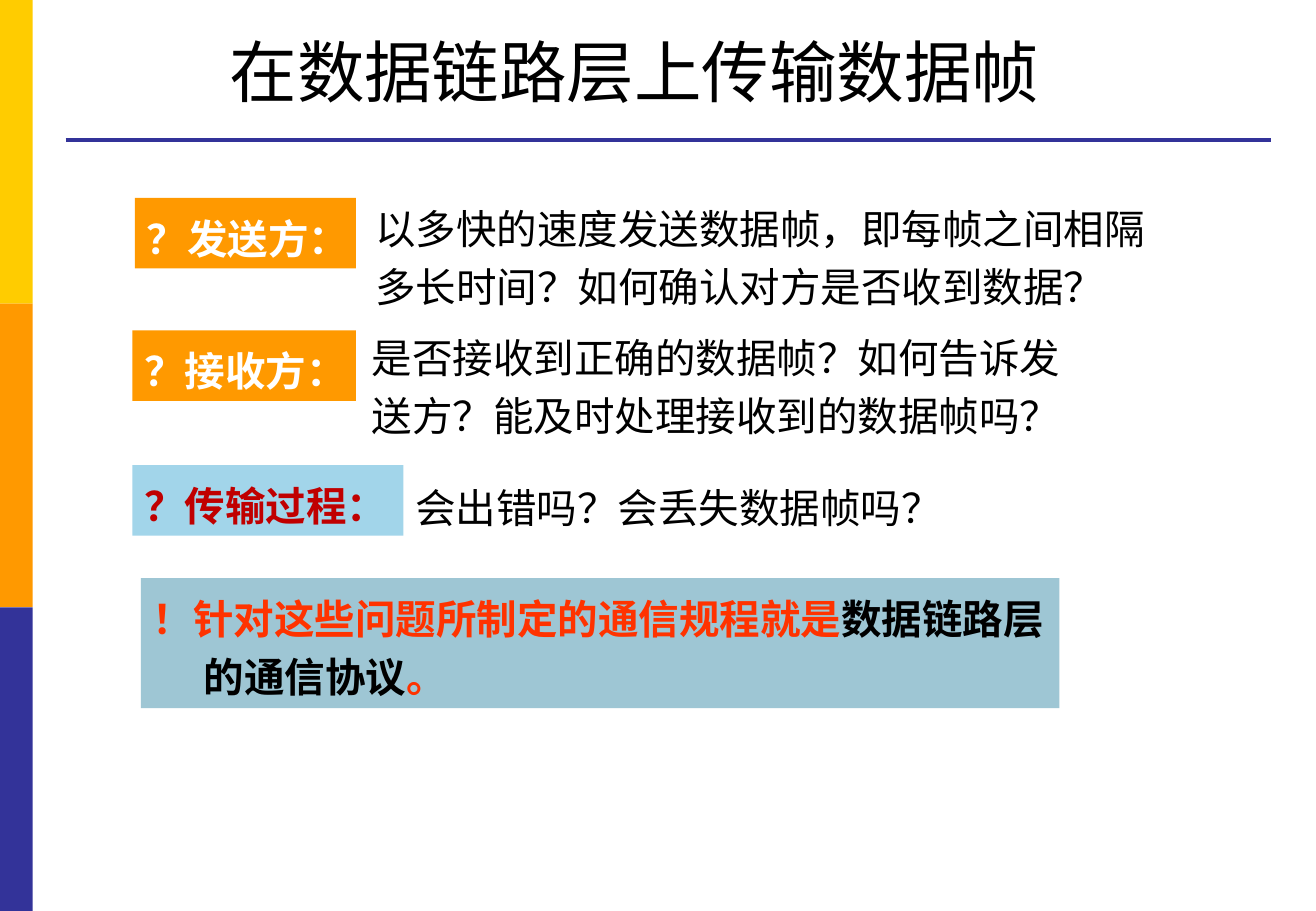
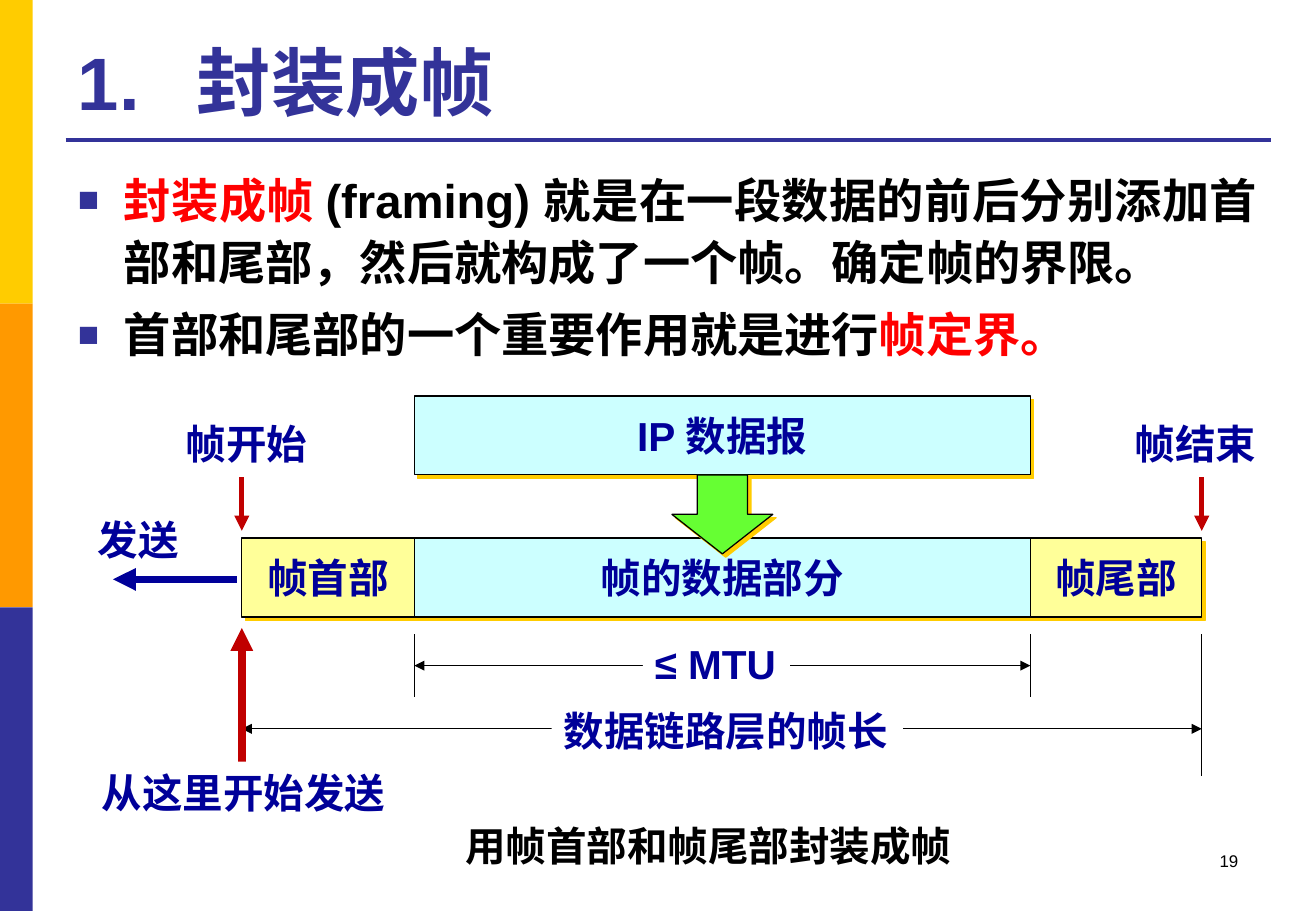
from dataclasses import dataclass
from typing import Optional

from lxml import etree
from pptx import Presentation
from pptx.dml.color import RGBColor
from pptx.enum.shapes import MSO_CONNECTOR, MSO_SHAPE
from pptx.enum.text import MSO_ANCHOR, MSO_AUTO_SIZE, PP_ALIGN
from pptx.oxml.ns import qn
from pptx.util import Inches, Pt

RECTANGLE = MSO_SHAPE.RECTANGLE
DOWN_ARROW = MSO_SHAPE.DOWN_ARROW
STRAIGHT = MSO_CONNECTOR.STRAIGHT
LEFT, CENTER = PP_ALIGN.LEFT, PP_ALIGN.CENTER
RIGHT, JUSTIFY = PP_ALIGN.RIGHT, PP_ALIGN.JUSTIFY
TOP, MIDDLE, BOTTOM = MSO_ANCHOR.TOP, MSO_ANCHOR.MIDDLE, MSO_ANCHOR.BOTTOM
NO_FIT, GROW = MSO_AUTO_SIZE.NONE, MSO_AUTO_SIZE.SHAPE_TO_FIT_TEXT

SANS, SERIF = "Arial", "Times New Roman"
BLACK, WHITE = "000000", "FFFFFF"
YELLOW, ORANGE, INDIGO = "FFCC00", "FF9900", "333399"
NAVY, CRIMSON, RED, VERMILION = "000099", "C00000", "FF0000", "FF3300"
SKY, STEEL = "A2D5EA", "9EC6D4"
CREAM, AQUA, GREEN = "FFFF99", "CCFFFF", "66FF33"

TITLE_ONLY, TITLE_AND_CONTENT = 5, 1
Runs = list[tuple[str, str]]


@dataclass(frozen=True)
class Box:
    left: float
    top: float
    width: float
    height: float


@dataclass(frozen=True)
class TextStyle:
    size: float = 24
    font: str = SANS
    bold: bool = True
    align: PP_ALIGN = LEFT
    anchor: MSO_ANCHOR = TOP
    fit: MSO_AUTO_SIZE = GROW
    wrap: bool = True
    spacing: float = 1.0
    hanging: float = 0


@dataclass(frozen=True)
class Question:
    label: str
    label_box: Box
    fill: str
    color: str
    answer: str
    answer_box: Box
    hanging: float = 0


@dataclass(frozen=True)
class Label:
    text: str
    box: Box
    style: TextStyle
    fill: Optional[str] = WHITE
    color: str = NAVY


@dataclass(frozen=True)
class Line:
    start: tuple[float, float]
    end: tuple[float, float]
    color: str = BLACK
    width: float = 0.75
    head: bool = False
    tail: bool = False


QUESTION_LABEL = TextStyle(font=SERIF, spacing=1.2, hanging=0.42)
FRAME_TEXT = TextStyle(align=CENTER, anchor=MIDDLE, fit=NO_FIT, wrap=False)
TIGHT = TextStyle(wrap=False)
CENTERED = TextStyle(align=CENTER)
BODY = TextStyle(size=28, align=JUSTIFY, fit=NO_FIT, spacing=1.1, hanging=0.38)

QUESTIONS = [
    Question("？发送方：", Box(1.11, 1.63, 1.82, 0.58), ORANGE, WHITE,
             "以多快的速度发送数据帧，即每帧之间相隔多长时间？如何确认对方是否收到数据？",
             Box(2.99, 1.55, 6.63, 1.07)),
    Question("？接收方：", Box(1.09, 2.72, 1.84, 0.58), ORANGE, WHITE,
             "是否接收到正确的数据帧？如何告诉发送方？能及时处理接收到的数据帧吗？",
             Box(2.96, 2.61, 5.92, 1.07)),
    Question("？传输过程：", Box(1.09, 3.83, 2.23, 0.58), SKY, CRIMSON,
             "会出错吗？会丢失数据帧吗？", Box(3.32, 3.85, 4.88, 0.58), 0.42),
]

FRAME_START, DATA_START, DATA_END, FRAME_END = 1.99, 3.41, 8.48, 9.89
PACKET_TOP, FRAME_TOP, FRAME_HEIGHT = 3.26, 4.43, 0.65
MTU_Y, LENGTH_Y, TICK_TOP = 5.48, 6.0, 5.22

FRAME_PARTS = [
    ("帧首部", FRAME_START, DATA_START, FRAME_TOP, CREAM),
    ("IP 数据报", DATA_START, DATA_END, PACKET_TOP, AQUA),
    ("帧的数据部分", DATA_START, DATA_END, FRAME_TOP, AQUA),
    ("帧尾部", DATA_END, FRAME_END, FRAME_TOP, CREAM),
]

FRAME_LINES = [
    Line((DATA_START, MTU_Y), (DATA_END, MTU_Y), head=True, tail=True),
    Line((FRAME_START, LENGTH_Y), (FRAME_END, LENGTH_Y), head=True, tail=True),
    Line((FRAME_START, 5.17), (FRAME_START, 6.34), CRIMSON, 4.5, head=True),
    Line((FRAME_END, TICK_TOP), (FRAME_END, 6.39)),
    Line((DATA_START, TICK_TOP), (DATA_START, 5.74)),
    Line((DATA_END, TICK_TOP), (DATA_END, 5.74)),
    Line((FRAME_START, 4.37), (FRAME_START, 3.93), CRIMSON, 3, head=True),
    Line((FRAME_END, 4.37), (FRAME_END, 3.93), CRIMSON, 3, head=True),
    Line((0.93, 4.77), (1.95, 4.77), NAVY, 4.5, head=True),
]

FRAME_LABELS = [
    Label("帧开始", Box(1.43, 3.4, 1.21, 0.5), TIGHT),
    Label("帧结束", Box(9.24, 3.4, 1.21, 0.5), TIGHT),
    Label("≤ MTU", Box(5.29, 5.21, 1.21, 0.5), TIGHT),
    Label("数据链路层的帧长", Box(4.54, 5.76, 2.89, 0.5), TIGHT),
    Label("从这里开始发送", Box(0.59, 6.27, 2.83, 0.5), CENTERED),
    Label("发送", Box(0.61, 4.19, 1.06, 0.5), CENTERED, None),
    Label("用帧首部和帧尾部封装成帧", Box(2.7, 6.71, 6.26, 0.5), CENTERED, None, BLACK),
    Label("19", Box(7.76, 6.95, 2.53, 0.5),
          TextStyle(size=10, bold=False, align=RIGHT, fit=NO_FIT), None, BLACK),
]


def rgb(color: str) -> RGBColor:
    return RGBColor.from_string(color)


def extents(box: Box) -> list[int]:
    return [Inches(value) for value in (box.left, box.top, box.width, box.height)]


def write_paragraph(paragraph, runs: Runs, style: TextStyle) -> None:
    paragraph.alignment = style.align
    paragraph.line_spacing = style.spacing
    paragraph.space_before = Pt(0)
    if style.hanging:
        properties = paragraph._p.get_or_add_pPr()
        properties.set("marL", str(Inches(style.hanging)))
        properties.set("indent", str(-Inches(style.hanging)))
    for text, color in runs:
        run = paragraph.add_run()
        run.text = text
        run.font.size = Pt(style.size)
        run.font.name = style.font
        run.font.bold = style.bold
        run.font.color.rgb = rgb(color)


def prepare_frame(shape, style: TextStyle):
    frame = shape.text_frame
    frame.word_wrap = style.wrap
    frame.auto_size = style.fit
    frame.vertical_anchor = style.anchor
    return frame


def add_block(slide, box: Box, fill: str, outline: Optional[str] = None, kind=RECTANGLE):
    shape = slide.shapes.add_shape(kind, *extents(box))
    shape.shadow.inherit = False
    shape.fill.solid()
    shape.fill.fore_color.rgb = rgb(fill)
    if outline:
        shape.line.color.rgb = rgb(outline)
        shape.line.width = Pt(0.75)
    else:
        shape.line.fill.background()
    return shape


def add_text(slide, box: Box, runs: Runs, style: TextStyle, fill: Optional[str] = None) -> None:
    if fill:
        shape = add_block(slide, box, fill)
    else:
        shape = slide.shapes.add_textbox(*extents(box))
    write_paragraph(prepare_frame(shape, style).paragraphs[0], runs, style)


def add_shadow(shape) -> None:
    effects = shape._element.spPr.find(qn("a:effectLst"))
    shadow = etree.SubElement(effects, qn("a:outerShdw"), dist=str(Pt(2.8)),
                              dir="2700000", algn="ctr", rotWithShape="0")
    etree.SubElement(shadow, qn("a:srgbClr"), val=YELLOW)


def add_line(slide, line: Line) -> None:
    points = [Inches(value) for value in (*line.start, *line.end)]
    connector = slide.shapes.add_connector(STRAIGHT, *points)
    connector.line.color.rgb = rgb(line.color)
    connector.line.width = Pt(line.width)
    outline = connector.line._get_or_add_ln()
    for wanted, tag in ((line.head, "a:headEnd"), (line.tail, "a:tailEnd")):
        if wanted:
            etree.SubElement(outline, qn(tag), type="triangle")
    etree.SubElement(connector._element.spPr, qn("a:effectLst"))


def place_placeholder(shape, box: Box, style: TextStyle):
    shape.left, shape.top, shape.width, shape.height = extents(box)
    return prepare_frame(shape, style)


def add_bullet(paragraph) -> None:
    properties = paragraph._p.get_or_add_pPr()
    bullet_color = etree.SubElement(properties, qn("a:buClr"))
    etree.SubElement(bullet_color, qn("a:srgbClr"), val=INDIGO)
    etree.SubElement(properties, qn("a:buSzPct"), val="75000")
    etree.SubElement(properties, qn("a:buFont"), typeface=SANS)
    etree.SubElement(properties, qn("a:buChar"), char="■")


def add_tab_stop(paragraph, position: float) -> None:
    tabs = etree.SubElement(paragraph._p.get_or_add_pPr(), qn("a:tabLst"))
    etree.SubElement(tabs, qn("a:tab"), pos=str(Inches(position)), algn="l")


def start_slide(presentation, layout: int):
    slide = presentation.slides.add_slide(presentation.slide_layouts[layout])
    for index, color in enumerate((YELLOW, ORANGE, INDIGO)):
        add_block(slide, Box(0, index * 2.5, 0.27, 2.5), color)
    add_line(slide, Line((0.54, 1.15), (10.46, 1.15), INDIGO, 2.25))
    return slide


def build_questions(presentation) -> None:
    slide = start_slide(presentation, TITLE_ONLY)
    style = TextStyle(40, SERIF, False, RIGHT, MIDDLE, NO_FIT)
    frame = place_placeholder(slide.shapes.title, Box(1.73, 0.29, 6.92, 0.58), style)
    write_paragraph(frame.paragraphs[0], [("在数据链路层上传输数据帧", BLACK)], style)
    for question in QUESTIONS:
        add_text(slide, question.label_box, [(question.label, question.color)],
                 QUESTION_LABEL, question.fill)
        answer_style = TextStyle(font=SERIF, bold=False, spacing=1.2,
                                 hanging=question.hanging)
        add_text(slide, question.answer_box, [(question.answer, BLACK)], answer_style)
    conclusion = [("！针对这些问题所制定的通信规程就是", VERMILION),
                  ("数据链路层的通信协议", BLACK), ("。", VERMILION)]
    add_text(slide, Box(1.16, 4.76, 7.56, 1.07), conclusion, QUESTION_LABEL, STEEL)


def build_framing(presentation) -> None:
    slide = start_slide(presentation, TITLE_AND_CONTENT)
    style = TextStyle(size=44, anchor=BOTTOM, fit=NO_FIT)
    frame = place_placeholder(slide.shapes.title, Box(0.54, 0.21, 9.91, 0.87), style)
    add_tab_stop(frame.paragraphs[0], 0.98)
    write_paragraph(frame.paragraphs[0], [("1.\t封装成帧", INDIGO)], style)

    points = [
        [("封装成帧 ", RED),
         ("(framing) 就是在一段数据的前后分别添加首部和尾部，然后就构成了一个帧。确定帧的界限。", BLACK)],
        [("首部和尾部的一个重要作用就是进行", BLACK), ("帧定界。", RED)],
    ]
    body = place_placeholder(slide.placeholders[1], Box(0.54, 1.31, 9.91, 5.4), BODY)
    for index, runs in enumerate(points):
        paragraph = body.add_paragraph() if index else body.paragraphs[0]
        add_bullet(paragraph)
        write_paragraph(paragraph, runs, BODY)
        if index:
            paragraph.space_before = Pt(6)

    for text, left, right, top, fill in FRAME_PARTS:
        part = add_block(slide, Box(left, top, right - left, FRAME_HEIGHT), fill, BLACK)
        add_shadow(part)
        write_paragraph(prepare_frame(part, FRAME_TEXT).paragraphs[0],
                        [(text, NAVY)], FRAME_TEXT)
    add_shadow(add_block(slide, Box(5.53, 3.91, 0.83, 0.65), GREEN, BLACK, DOWN_ARROW))
    for line in FRAME_LINES:
        add_line(slide, line)
    for label in FRAME_LABELS:
        add_text(slide, label.box, [(label.text, label.color)], label.style, label.fill)


def main() -> None:
    presentation = Presentation()
    presentation.slide_width = Inches(10.83)
    presentation.slide_height = Inches(7.5)
    build_questions(presentation)
    build_framing(presentation)
    presentation.save("out.pptx")


if __name__ == "__main__":
    main()
